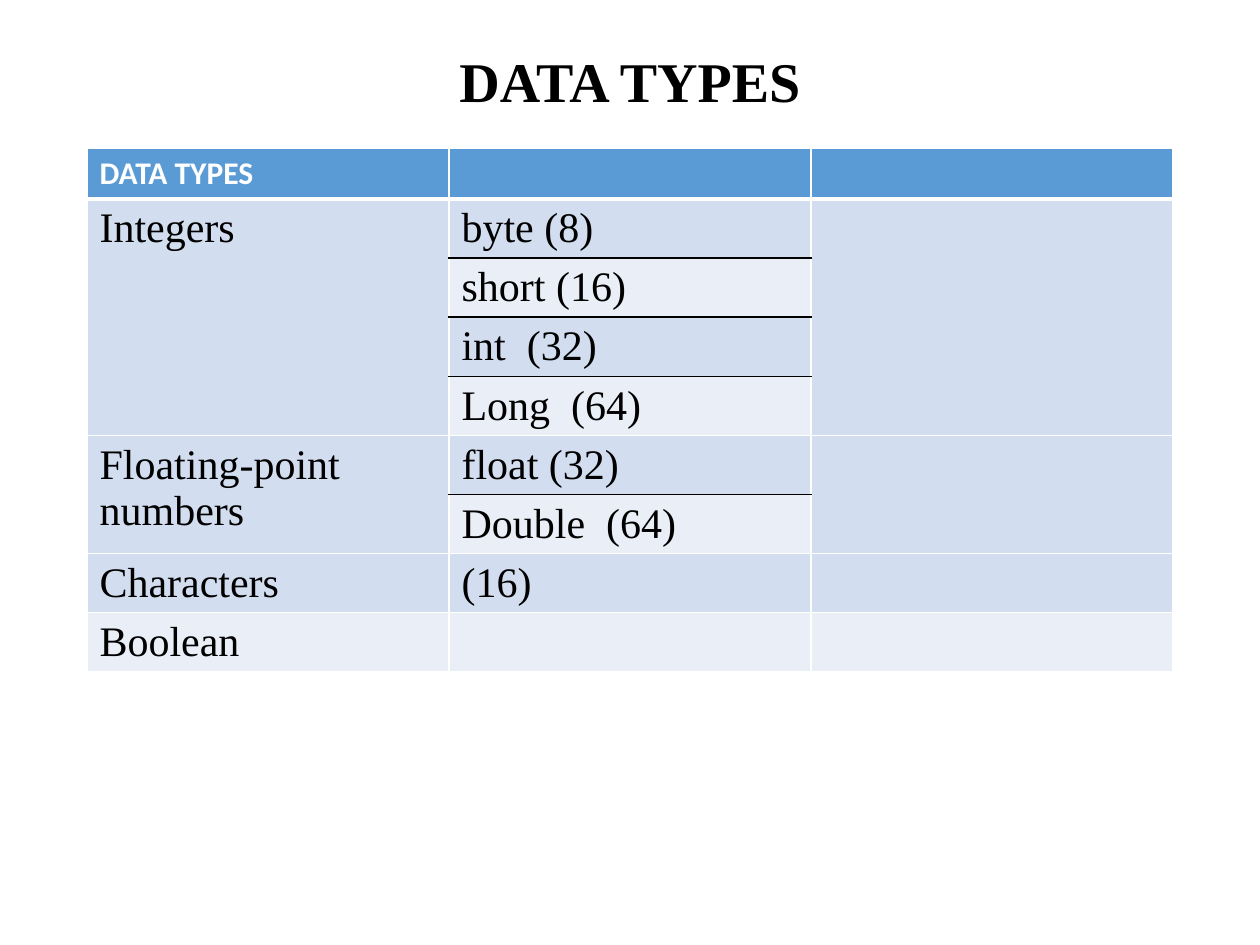
from lxml.etree import SubElement
from pptx import Presentation
from pptx.dml.color import RGBColor
from pptx.enum.text import MSO_ANCHOR, PP_ALIGN
from pptx.oxml.ns import qn
from pptx.util import Emu, Pt

PX_PER_INCH = 126
SERIF, SANS = "Times New Roman", "Calibri"
BLACK, WHITE = "000000", "FFFFFF"
HEADER_FILL, ODD_FILL, EVEN_FILL = "5B9BD5", "D2DEEF", "EAEFF7"
TABLE_LEFT, TABLE_TOP = 87, 148
COLUMN_WIDTH, HEADER_HEIGHT, ROW_HEIGHT = 362, 51, 59
TYPE_GROUPS = [
    ("Integers", ["byte (8)", "short (16)", "int  (32)", "Long  (64)"]),
    ("Floating-point numbers", ["float (32)", "Double  (64)"]),
    ("Characters", ["(16)"]),
    ("Boolean", [""]),
]


def px(length):
    """Turn whole pixels into EMU."""
    return Emu(round(length * 914400 / PX_PER_INCH))


def color(hex_code):
    """Turn a hex string into a colour."""
    return RGBColor.from_string(hex_code)


def style_text(text_frame, font_name, size, hex_code, bold):
    """Format every run of a text frame."""
    for paragraph in text_frame.paragraphs:
        for run in paragraph.runs:
            run.font.name = font_name
            run.font.size = Pt(size)
            run.font.color.rgb = color(hex_code)
            run.font.bold = bold


def add_title(slide, wording):
    """Place the centred heading in the title placeholder."""
    heading = slide.shapes.title
    heading.left, heading.top = px(TABLE_LEFT), px(50)
    heading.width, heading.height = px(3 * COLUMN_WIDTH), px(68)
    frame = heading.text_frame
    frame.text = wording
    frame.vertical_anchor = MSO_ANCHOR.MIDDLE
    frame.paragraphs[0].alignment = PP_ALIGN.CENTER
    frame.paragraphs[0].line_spacing = 0.9
    style_text(frame, SERIF, 32, BLACK, True)


def set_border(cell, side, hex_code, width):
    """Draw one side of a cell as a solid line."""
    line = SubElement(cell._tc.get_or_add_tcPr(), qn(f"a:ln{side}"), w=str(Pt(width)))
    SubElement(SubElement(line, qn("a:solidFill")), qn("a:srgbClr"), val=hex_code)


def style_cell(cell, fill, top=(WHITE, 1), bottom=(WHITE, 1)):
    """Give a cell its borders and fill."""
    borders = {"L": (WHITE, 1), "R": (WHITE, 1), "T": top, "B": bottom}
    for side, (hex_code, width) in borders.items():
        set_border(cell, side, hex_code, width)
    cell.fill.solid()
    cell.fill.fore_color.rgb = color(fill)


def fill_header(table):
    """Write and colour the header row."""
    for cell in table.rows[0].cells:
        style_cell(cell, HEADER_FILL, bottom=(WHITE, 3))
    label = table.cell(0, 0)
    label.text_frame.text = "DATA TYPES"
    style_text(label.text_frame, SANS, 18, WHITE, True)


def fill_group(table, first_row, group_name, members):
    """Write one group of types, with black lines between its members."""
    last_row = first_row + len(members) - 1
    for row, member in enumerate(members, first_row):
        fill = ODD_FILL if row % 2 else EVEN_FILL
        top = (BLACK, 1) if row > first_row else (WHITE, 3 if row == 1 else 1)
        bottom = (BLACK if row < last_row else WHITE, 1)
        style_cell(table.cell(row, 0), fill)
        style_cell(table.cell(row, 1), fill, top, bottom)
        style_cell(table.cell(row, 2), fill)
        table.cell(row, 1).text_frame.text = member
        style_text(table.cell(row, 1).text_frame, SERIF, 24, BLACK, False)
    if last_row > first_row:
        for column in (0, 2):
            table.cell(first_row, column).merge(table.cell(last_row, column))
    label = table.cell(first_row, 0).text_frame
    label.text = group_name
    style_text(label, SERIF, 24, BLACK, False)


def add_types_table(slide):
    """Build the table of data types and their sizes."""
    type_count = sum(len(members) for _, members in TYPE_GROUPS)
    table = slide.shapes.add_table(
        type_count + 1, 3, px(TABLE_LEFT), px(TABLE_TOP),
        px(3 * COLUMN_WIDTH), px(HEADER_HEIGHT + type_count * ROW_HEIGHT),
    ).table
    for column in table.columns:
        column.width = px(COLUMN_WIDTH)
    for index, row in enumerate(table.rows):
        row.height = px(ROW_HEIGHT if index else HEADER_HEIGHT)
    fill_header(table)
    first_row = 1
    for group_name, members in TYPE_GROUPS:
        fill_group(table, first_row, group_name, members)
        first_row += len(members)


def main():
    """Build and save the slide."""
    presentation = Presentation()
    presentation.slide_width, presentation.slide_height = px(1260), px(945)
    slide = presentation.slides.add_slide(presentation.slide_layouts[5])
    add_title(slide, "DATA TYPES")
    add_types_table(slide)
    presentation.save("out.pptx")


if __name__ == "__main__":
    main()
